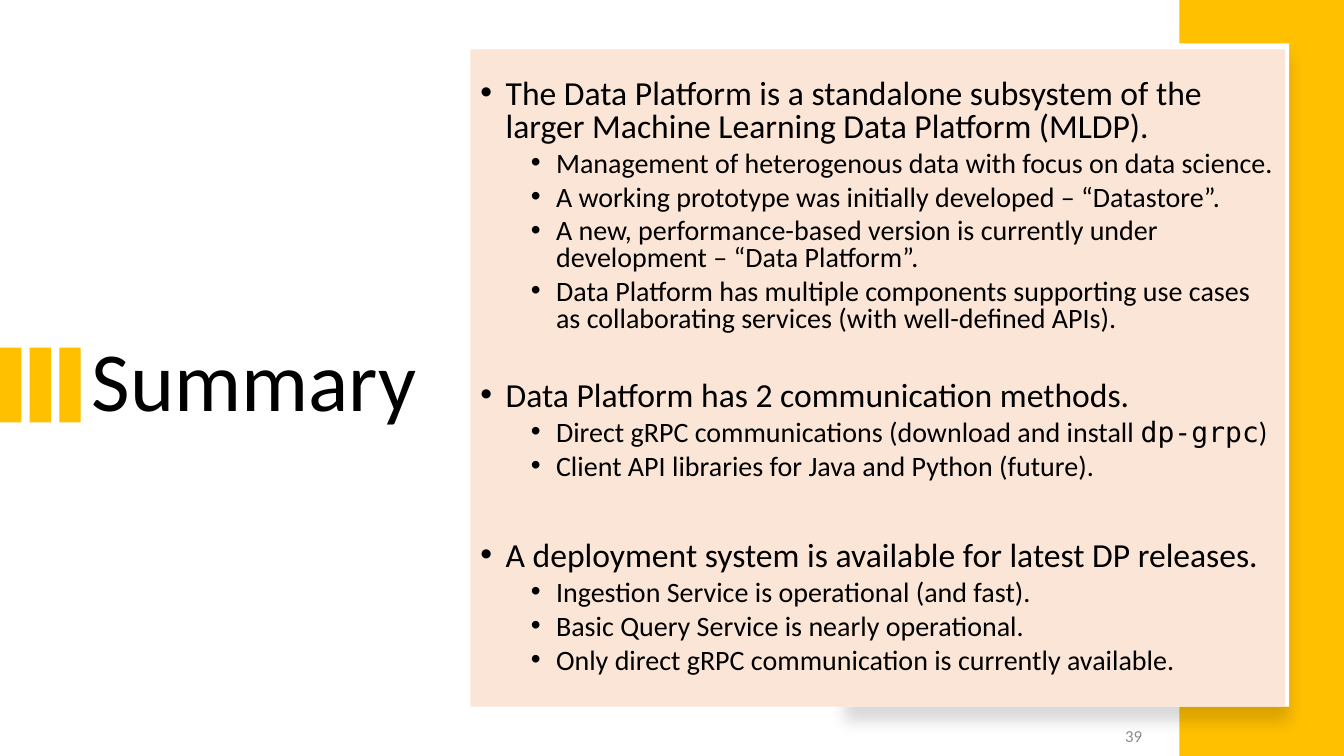
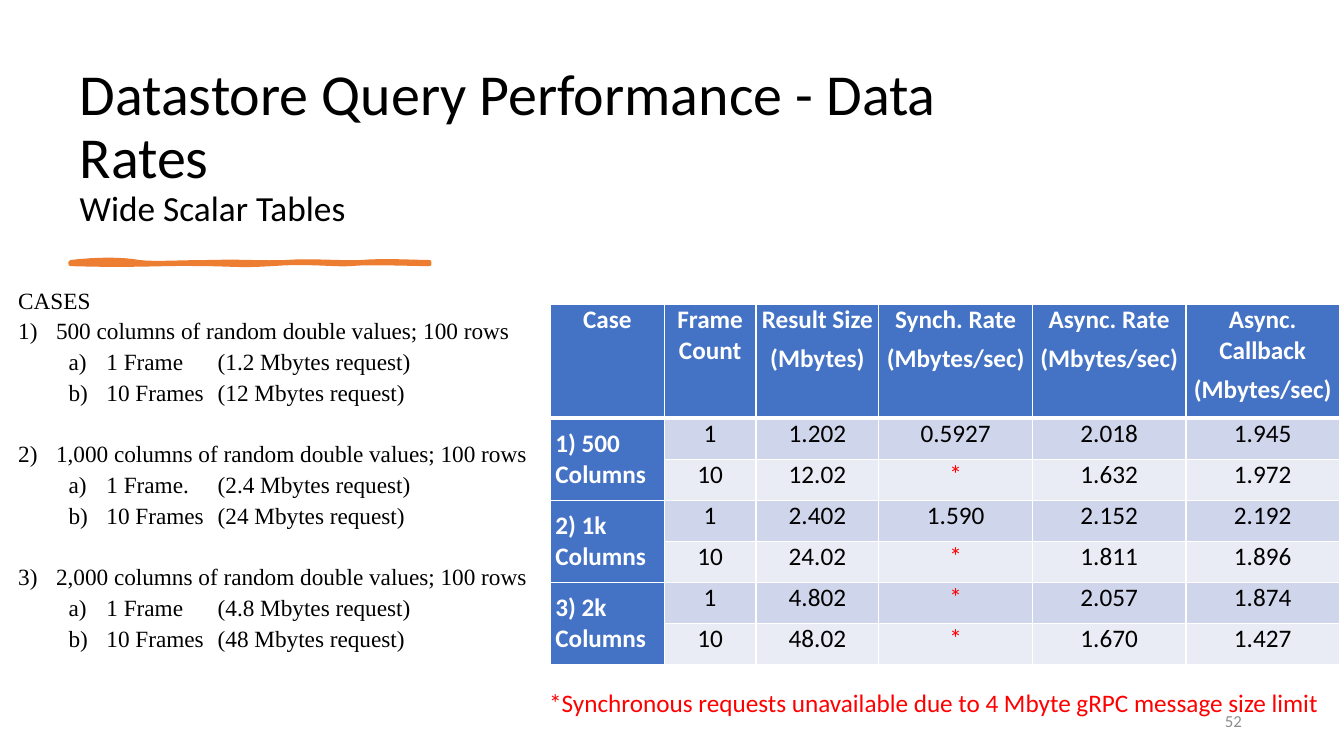
from lxml import etree
from pptx import Presentation
from pptx import util as u
from pptx.dml.color import RGBColor
from pptx.enum import shapes, text
from pptx.oxml import ns

Pt = u.Pt
BLACK, WHITE, GREY, RED = "000000", "FFFFFF", "8C8C8C", "FF0000"
GOLD, PEACH, ORANGE = "FFC000", "FBE5D6", "ED7D31"
BLUE, BAND_DARK, BAND_LIGHT = "4472C4", "CFD5EA", "E9EBF5"
SANS, SERIF, MONO = "Calibri", "Times New Roman", "DejaVu Sans Mono"
LEFT, CENTER, RIGHT = text.PP_ALIGN.LEFT, text.PP_ALIGN.CENTER, text.PP_ALIGN.RIGHT
TOP, MIDDLE, BOTTOM = (text.MSO_ANCHOR.TOP, text.MSO_ANCHOR.MIDDLE,
                       text.MSO_ANCHOR.BOTTOM)


def rgb(color):
    return RGBColor.from_string(color)


def add_xml(parent, tag, **attrs):
    el = etree.SubElement(parent, ns.qn(tag))
    for name, value in attrs.items():
        el.set(name, str(value))
    return el


def cubic(p0, p1, p2, p3, steps=8):
    """Points along a cubic curve, without its start."""
    for i in range(1, steps + 1):
        t = i / steps
        w = ((1 - t) ** 3, 3 * t * (1 - t) ** 2, 3 * t * t * (1 - t), t ** 3)
        yield tuple(sum(k * q[axis] for k, q in zip(w, (p0, p1, p2, p3)))
                    for axis in (0, 1))


class Deck:
    def __init__(self, width, height):
        self.prs = Presentation()
        self.prs.slide_width, self.prs.slide_height = Pt(width), Pt(height)

    def slide(self):
        self.s = self.prs.slides.add_slide(self.prs.slide_layouts[1])

    # Text
    def run(self, p, words, size, color=BLACK, font=SANS, bold=False):
        r = p.add_run()
        r.text = words
        for name, value in dict(name=font, size=Pt(size), bold=bold).items():
            setattr(r.font, name, value)
        r.font.color.rgb = rgb(color)

    def layout(self, p, align=LEFT, before=0, after=0, spacing=1.0):
        fmt = dict(alignment=align, space_before=Pt(before),
                   space_after=Pt(after), line_spacing=spacing)
        for name, value in fmt.items():
            setattr(p, name, value)

    def frame(self, sp, box, anchor):
        for name, value in zip(("left", "top", "width", "height"), box):
            setattr(sp, name, Pt(value))
        tf = sp.text_frame
        fmt = dict(word_wrap=True, auto_size=text.MSO_AUTO_SIZE.NONE,
                   vertical_anchor=anchor)
        for name, value in fmt.items():
            setattr(tf, name, value)
        return tf

    def title(self, box, lines, anchor):
        p = self.frame(self.s.shapes.title, box, anchor).paragraphs[0]
        self.layout(p, spacing=0.9)
        for i, (words, size) in enumerate(lines):
            if i:
                p.add_line_break()
            self.run(p, words, size)

    def body(self, box, items, styles, anchor=TOP, fill=None):
        """Each item is (style name, text, space before)."""
        sp = self.s.placeholders[1]
        self.s.shapes._spTree.append(sp._element)
        tf = self.frame(sp, box, anchor)
        if fill:
            sp.fill.solid()
            sp.fill.fore_color.rgb = rgb(fill)
        for i, (style, words, before) in enumerate(items):
            st = styles[style]
            p = tf.paragraphs[0] if i == 0 else tf.add_paragraph()
            p.level = st.get("level", 0)
            pPr = p._p.get_or_add_pPr()
            hang = st.get("hang", 0)
            pPr.set("marL", str(Pt(st.get("left", 0))))
            pPr.set("indent", str(Pt(-hang)))
            if "number" in st:
                add_xml(pPr, "a:buFont", typeface="+mj-lt")
                add_xml(pPr, "a:buAutoNum", type=st["number"])
            elif hang:
                add_xml(pPr, "a:buFont", typeface="Arial")
                add_xml(pPr, "a:buChar", char="•")
            else:
                add_xml(pPr, "a:buNone")
            if "tab" in st:
                tabs = add_xml(pPr, "a:tabLst")
                add_xml(tabs, "a:tab", pos=Pt(st["tab"]), algn="l")
            self.layout(p, before=before, after=st.get("after", 0), spacing=0.8)
            # Backticks enclose code
            for j, part in enumerate(words.split("`")):
                self.run(p, part, st["size"],
                         font=MONO if j % 2 else st.get("font", SANS))

    def label(self, box, words, size, color, align=LEFT, anchor=TOP, after=0):
        sp = self.s.shapes.add_textbox(0, 0, 0, 0)
        p = self.frame(sp, box, anchor).paragraphs[0]
        self.layout(p, align, after=after)
        self.run(p, words, size, color)

    def number(self, box, words, after=0):
        self.label(box, words, 12, GREY, RIGHT, MIDDLE, after)

    # Shapes
    def rect(self, box, color, shadow=False):
        sp = self.s.shapes.add_shape(shapes.MSO_SHAPE.RECTANGLE,
                                     *(Pt(v) for v in box))
        sp.shadow.inherit = False
        sp.fill.solid()
        sp.fill.fore_color.rgb = rgb(color)
        sp.line.fill.background()
        if shadow:
            effects = sp._element.spPr.find(ns.qn("a:effectLst"))
            sh = add_xml(effects, "a:outerShdw", blurRad=Pt(11), dist=Pt(10),
                         dir=90 * 60000, algn="t", rotWithShape=0)
            add_xml(add_xml(sh, "a:srgbClr", val=BLACK), "a:alpha", val=15000)

    def stroke(self, start, curves, color, width):
        points = []
        here = start
        for curve in curves:
            points += cubic(here, *curve)
            here = curve[-1]
        fb = self.s.shapes.build_freeform(Pt(start[0]), Pt(start[1]))
        fb.add_line_segments([(Pt(x), Pt(y)) for x, y in points], close=True)
        sp = fb.convert_to_shape()
        sp.shadow.inherit = False
        sp.fill.solid()
        sp.fill.fore_color.rgb = sp.line.color.rgb = rgb(color)
        sp.line.width = Pt(width)

    # Table
    def cell(self, cell, paragraphs, fill, color=BLACK, bold=False,
             align=CENTER, anchor=TOP, top=1, bottom=1):
        fmt = dict(margin_left=Pt(3.6), margin_right=Pt(3.6), margin_top=0,
                   margin_bottom=0, vertical_anchor=anchor)
        for name, value in fmt.items():
            setattr(cell, name, value)
        tcPr = cell._tc.get_or_add_tcPr()
        for side, width in zip("LRTB", (1, 1, top, bottom)):
            ln = add_xml(tcPr, "a:ln" + side, w=Pt(width))
            add_xml(add_xml(ln, "a:solidFill"), "a:srgbClr", val=WHITE)
        cell.fill.solid()
        cell.fill.fore_color.rgb = rgb(fill)
        for i, words in enumerate(paragraphs):
            tf = cell.text_frame
            p = tf.paragraphs[0] if i == 0 else tf.add_paragraph()
            self.layout(p, align, after=6)
            self.run(p, words, 18, color, bold=bold)

    def table(self, left, top, widths, heights, header, groups, rows):
        frame = self.s.shapes.add_table(
            len(heights), len(widths), Pt(left), Pt(top),
            Pt(sum(widths)), Pt(sum(heights)))
        tbl = frame.table
        tbl.first_row = tbl.horz_banding = False
        for col, width in zip(tbl.columns, widths):
            col.width = Pt(width)
        for row, height in zip(tbl.rows, heights):
            row.height = Pt(height)
        for c, words in enumerate(header):
            self.cell(tbl.cell(0, c), words, BLUE, WHITE, True, bottom=3)
        for r, values in enumerate(rows, 1):
            rule = 3 if r == 1 else 1
            group = [groups[r // 2]] if r % 2 else []
            self.cell(tbl.cell(r, 0), group, BLUE, WHITE, True, LEFT, MIDDLE,
                      top=rule)
            for c, value in enumerate(values, 1):
                self.cell(tbl.cell(r, c), [value],
                          BAND_DARK if r % 2 else BAND_LIGHT,
                          RED if value == "*" else BLACK, top=rule)
            if r % 2 == 0:
                tbl.cell(r - 1, 0).merge(tbl.cell(r, 0))


def summary(d):
    d.slide()
    d.title((58.3, 89.3, 258.5, 370.8), [("Summary", 60)], MIDDLE)
    # Gold bars, side band and white card
    for i in range(3):
        d.rect((21.2 * i, 248.4, 15.3, 53.3), GOLD)
    d.rect((842.4, 0, 117.6, 540), GOLD)
    d.rect((603.4, 31, 317.5, 473.8), WHITE, shadow=True)
    # Points
    styles = {"main": dict(left=18, hang=18, size=24),
              "sub": dict(level=1, left=54, hang=18, size=20)}
    d.body((336, 35.3, 582, 469.4), [
        ("main", "The Data Platform is a standalone subsystem of the larger "
                 "Machine Learning Data Platform (MLDP).", 0),
        ("sub", "Management of heterogenous data with focus on data science.", 5),
        ("sub", "A working prototype was initially developed – “Datastore”.", 5),
        ("sub", "A new, performance-based version is currently under "
                "development – “Data Platform”.", 5),
        ("sub", "Data Platform has multiple components supporting use cases as "
                "collaborating services (with well-defined APIs).", 5),
        ("main", "Data Platform has 2 communication methods.", 34),
        ("sub", "Direct gRPC communications (download and install `dp-grpc`)", 5),
        ("sub", "Client API libraries for Java and Python (future).", 5),
        ("main", "A deployment system is available for latest DP releases.", 43),
        ("sub", "Ingestion Service is operational (and fast).", 5),
        ("sub", "Basic Query Service is nearly operational.", 5),
        ("sub", "Only direct gRPC communication is currently available.", 5),
    ], styles, MIDDLE, PEACH)
    d.number((678.2, 511.2, 144.7, 28.8), "39", after=6)


def data_rates(d):
    d.slide()
    d.title((49.7, 50.4, 723.6, 116.6),
            [("Datastore Query Performance - Data Rates", 41.4),
             ("Wide Scalar Tables", 25.2)], BOTTOM)
    # Brush stroke under the title
    d.stroke((50.4, 187.2), [
        ((69.8, 185), (87.1, 185), (99.4, 187.2)),
        ((111.6, 188.6), (127.4, 187.2), (150.5, 187.2)),
        ((173.5, 186.5), (187.2, 187.9), (204.5, 187.2)),
        ((221.8, 185.8), (244.1, 187.9), (258.5, 187.2)),
        ((272.9, 185.8), (296.6, 187.2), (306.7, 187.2)),
        ((306.7, 187.2), (306.7, 187.9), (306.7, 188.6)),
        ((293.8, 188.6), (262.1, 187.2), (250.6, 188.6)),
        ((239, 189.4), (218.9, 186.5), (194.4, 188.6)),
        ((169.2, 190.1), (166.3, 188.6), (143.3, 188.6)),
        ((119.5, 187.9), (95, 190.1), (50.4, 188.6)),
    ], ORANGE, 3)
    # Measured rates
    rate = "(Mbytes/sec)"
    d.table(393.1, 217.4, [81.4, 65.5, 87.8] + [109.7] * 3, [81.4] + [29.3] * 6,
            [["Case"], ["Frame Count"], ["Result Size", "(Mbytes)"],
             ["Synch. Rate", rate], ["Async. Rate", rate],
             ["Async. Callback", rate]],
            ["1) 500 Columns", "2) 1k Columns", "3) 2k Columns"],
            [["1", "1.202", "0.5927", "2.018", "1.945"],
             ["10", "12.02", "*", "1.632", "1.972"],
             ["1", "2.402", "1.590", "2.152", "2.192"],
             ["10", "24.02", "*", "1.811", "1.896"],
             ["1", "4.802", "*", "2.057", "1.874"],
             ["10", "48.02", "*", "1.670", "1.427"]])
    # Cases
    base = dict(size=16.6, font=SERIF, after=6)
    styles = {"head": base,
              "case": dict(base, left=27, hang=27, number="arabicParenR"),
              "frames": dict(base, level=1, left=63, hang=27, tab=142.5,
                             number="alphaLcParenR")}
    items = [("head", "CASES", 0)]
    for i, (columns, one, single, ten) in enumerate([
            ("500", "1 Frame", "1.2", "12"), ("1,000", "1 Frame.", "2.4", "24"),
            ("2,000", "1 Frame", "4.8", "48")]):
        items += [
            ("case", f"{columns} columns of random double values; 100 rows",
             22 if i else 0),
            ("frames", f"{one}\t({single} Mbytes request)", 0),
            ("frames", f"10 Frames\t({ten} Mbytes request)", 0)]
    d.body((5.8, 204.5, 389.5, 279.4), items, styles)
    # Footnote and slide number
    d.label((385.2, 487.4, 573.1, 28.8), "*Synchronous requests unavailable due "
            "to 4 Mbyte gRPC message size limit", 18, RED)
    d.number((678.2, 500.4, 216, 28.8), "52")


def main():
    d = Deck(960, 540)
    summary(d)
    data_rates(d)
    d.prs.save("out.pptx")


if __name__ == "__main__":
    main()
